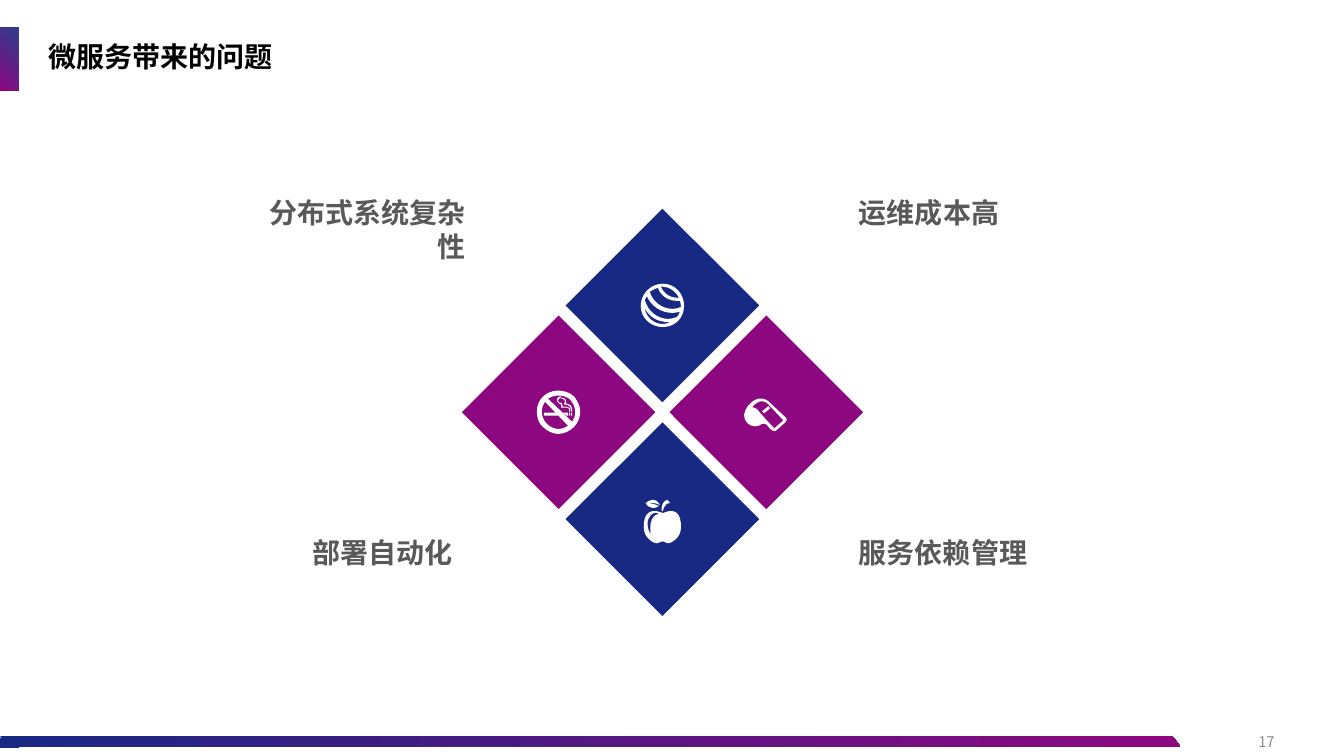
from pptx import Presentation
from pptx.dml.color import RGBColor
from pptx.enum import shapes, text
from pptx.oxml import ns
from pptx.util import Inches, Pt
from lxml import etree

NAVY = RGBColor(0x18, 0x29, 0x83)
PURPLE = RGBColor(0x8D, 0x07, 0x80)
WHITE = RGBColor(0xFF, 0xFF, 0xFF)
BLACK = RGBColor(0, 0, 0)
DARK = RGBColor(0x59, 0x59, 0x59)
GREY = RGBColor(0x8C, 0x8C, 0x8C)
FONT = "Noto Sans CJK SC"
LEFT, RIGHT = text.PP_ALIGN.LEFT, text.PP_ALIGN.RIGHT

TITLE = "微服务带来的问题"
PAGE = "17"
LABELS = [
    ("分布式系统复杂性", 2.3, 1.89, 2.42, RIGHT, True),
    ("运维成本高", 8.42, 1.89, 1.59, LEFT, False),
    ("服务依赖管理", 8.42, 5.26, 1.87, LEFT, False),
    ("部署自动化", 3, 5.26, 1.59, RIGHT, False),
]

BALL = {"size": (43, 43), "straight": [], "curved": [
    "22,43 10,43 0,34 0,22 0,10 10,0 22,0 34,0 43,10 43,22 43,34 34,43 22,43",
    "36,33 37,32 38,30 39,28 37,28 34,29 32,29 20,29 10,22 6,12 6,13 5,15 4,16 "
    "7,27 16,35 28,35 30,35 33,34 36,33",
    "32,25 35,25 38,24 40,23 40,23 40,22 40,22 40,20 40,19 39,17 38,17 37,17 36,17 "
    "27,17 20,12 17,4 14,5 12,6 9,8 12,18 21,25 32,25",
    "22,40 25,40 27,39 30,38 29,38 28,38 27,38 17,38 8,33 4,24 5,33 13,40 22,40",
    "22,3 21,3 20,3 20,3 23,10 29,14 36,14 37,14 38,14 38,14 35,8 29,3 22,3",
]}
APPLE = {"size": (37, 48), "straight": [], "curved": [
    "24,48 22,48 21,46 19,46 16,46 16,48 13,48 10,48 0,43 0,32 0,8 18,18 19,18 "
    "20,18 37,8 37,32 37,43 27,48 24,48",
    "5,23 1,31 8,41 7,40 4,19 15,19 15,19 15,19 10,14 5,23",
    "26,8 21,7 19,16 19,16 18,16 18,16 18,16 18,16 16,8 23,5 23,4 26,8 26,8",
    "5,8 5,8 11,9 15,11 14,12 12,13 9,13 3,12 2,8 2,8 12,0 16,10 16,10 10,7 5,8 5,8",
]}
WHISTLE = {"size": (44, 40), "straight": ["18,19 24,14 26,16 20,21"], "curved": [
    "41,30 42,29 32,38 32,38 32,38 30,40 28,38 26,37 23,33 23,33 23,33 21,30 17,32 "
    "16,33 14,34 11,34 5,34 0,29 0,23 0,20 2,17 3,15 14,0 24,9 24,9 "
    "41,25 41,25 41,25 41,25 44,27 41,30",
    "24,12 16,4 8,15 8,15 8,15 10,15 13,17 15,20 30,36 30,36 "
    "39,28 39,28 39,28 39,28 23,11 24,12",
]}
NO_SMOKING = {"size": (43, 43), "straight": [
    "7,25 21,25 18,22 7,22",
    "30,25 31,25 31,22 26,22",
    "32,25 33,25 33,22 32,22",
    "34,25 35,25 35,22 34,22",
    "32,17 30,16 28,16 26,16 25,14 25,13 24,12 22,12 21,10 22,8 24,7 24,6 22,6 20,8 "
    "20,10 21,12 24,14 24,17 26,17 30,17 32,18 32,21 33,21 33,18",
    "25,8 27,9 28,11 27,13 27,14 30,14 33,16 34,19 34,21 35,21 35,19 34,15 30,13 "
    "29,13 29,11 28,8 25,7 24,8",
], "curved": [
    "37,6 33,2 27,0 21,0 16,0 10,2 6,6 2,10 0,15 0,21 0,27 2,33 6,36 "
    "10,40 16,43 21,43 27,43 33,40 37,36 40,33 43,27 43,21 43,15 40,10 37,6",
    "21,38 17,38 13,36 10,33 7,30 5,26 5,21 5,17 6,14 8,11 31,35 31,35 31,35 "
    "28,37 25,38 21,38",
    "35,31 11,8 11,8 11,8 14,6 18,5 21,5 26,5 30,6 33,9 36,12 38,17 38,21 "
    "38,25 37,28 35,31",
]}

CENTER_X, CENTER_Y = 6.57, 4.09
STEP_X, STEP_Y = 1.03, 1.06
DIAMOND = 1.92
TILES = [(0, -1, NAVY, BALL), (0, 1, NAVY, APPLE),
         (1, 0, PURPLE, WHISTLE), (-1, 0, PURPLE, NO_SMOKING)]


def points(line):
    return [tuple(float(n) for n in pair.split(",")) for pair in line.split()]


def bend(sp, curved_count):
    outline = sp._element.spPr.find(".//" + ns.qn("a:path"))
    contour, run = 0, []
    for step in list(outline):
        if step.tag == ns.qn("a:moveTo"):
            contour, run = contour + 1, []
        elif step.tag == ns.qn("a:lnTo") and contour <= curved_count:
            run.append(step)
            if len(run) == 3:
                curve = etree.Element(ns.qn("a:cubicBezTo"))
                run[0].addprevious(curve)
                for line in run:
                    curve.append(line[0])
                    outline.remove(line)
                run = []


def plain(sp, color):
    sp.shadow.inherit = False
    sp.line.fill.background()
    sp.fill.solid()
    sp.fill.fore_color.rgb = color


def gradient(sp, angle):
    plain(sp, NAVY)
    sp.fill.gradient()
    sp.fill.gradient_angle = angle
    for stop, pos, color in zip(sp.fill.gradient_stops, (0, 1), (NAVY, PURPLE)):
        stop.position = pos
        stop.color.rgb = color


def write(sp, words, size, color, align, bold, spacing, wrap):
    tf = sp.text_frame
    tf.text = words
    tf.word_wrap = wrap
    tf.auto_size = text.MSO_AUTO_SIZE.NONE
    p = tf.paragraphs[0]
    p.alignment = align
    p.line_spacing = spacing
    r = p.runs[0]
    r.font.size, r.font.bold, r.font.name = Pt(size), bold, FONT
    r.font.color.rgb = color
    etree.SubElement(r.font._element, ns.qn("a:ea")).set("typeface", FONT)
    return tf


def add_icon(group, icon, cx, cy):
    w, h = icon["size"]
    x0, y0 = cx - w / 200, cy - h / 200
    builder = None
    for contour in icon["curved"] + icon["straight"]:
        pts = [(Inches(x0 + x / 100), Inches(y0 + y / 100)) for x, y in points(contour)]
        if builder is None:
            builder = group.shapes.build_freeform(*pts[0])
        else:
            builder.move_to(*pts[0])
        builder.add_line_segments(pts[1:], close=True)
    sp = builder.convert_to_shape()
    bend(sp, len(icon["curved"]))
    plain(sp, WHITE)


def box(x, y, w, h):
    return Inches(x), Inches(y), Inches(w), Inches(h)


prs = Presentation()
prs.slide_width, prs.slide_height = Inches(13.33), Inches(7.5)
s = prs.slides.add_slide(prs.slide_layouts[5])
PRESET = shapes.MSO_SHAPE

accent = s.shapes.add_shape(PRESET.RECTANGLE, *box(0, 0.27, 0.18, 0.63))
gradient(accent, 225)
first_color = accent.fill._xPr.find(".//" + ns.qn("a:srgbClr"))
etree.SubElement(first_color, ns.qn("a:alpha")).set("val", "90000")

number = s.shapes.add_textbox(*box(9.74, 7.16, 3, 0.4))
tf = write(number, PAGE, 10.5, GREY, RIGHT, False, 1, True)
tf.vertical_anchor = text.MSO_ANCHOR.MIDDLE

bar = s.shapes.add_shape(PRESET.PARALLELOGRAM, *box(0, 7.3, 11.71, 0.11))
bar.adjustments[0] = 0.775
bar._element.spPr.find(ns.qn("a:xfrm")).set("flipH", "1")
gradient(bar, 180)
plain(s.shapes.add_shape(PRESET.RECTANGLE, *box(0, 7.32, 0.19, 0.1)), NAVY)

title = s.shapes.title
title.left, title.top, title.width, title.height = box(0.38, 0.26, 11.1, 0.63)
tf = write(title, TITLE, 20, BLACK, LEFT, True, 0.9, True)
tf.vertical_anchor = text.MSO_ANCHOR.MIDDLE

for dx, dy, color, icon in TILES:
    cx, cy = CENTER_X + dx * STEP_X, CENTER_Y + dy * STEP_Y
    group = s.shapes.add_group_shape()
    tile = group.shapes.add_shape(
        PRESET.DIAMOND, *box(cx - DIAMOND / 2, cy - DIAMOND / 2, DIAMOND, DIAMOND))
    plain(tile, color)
    add_icon(group, icon, cx, cy)

for words, x, y, w, align, wrap in LABELS:
    label = s.shapes.add_textbox(*box(x, y, w, 0.44))
    write(label, words, 20, DARK, align, True, 1, wrap)

prs.save("out.pptx")
